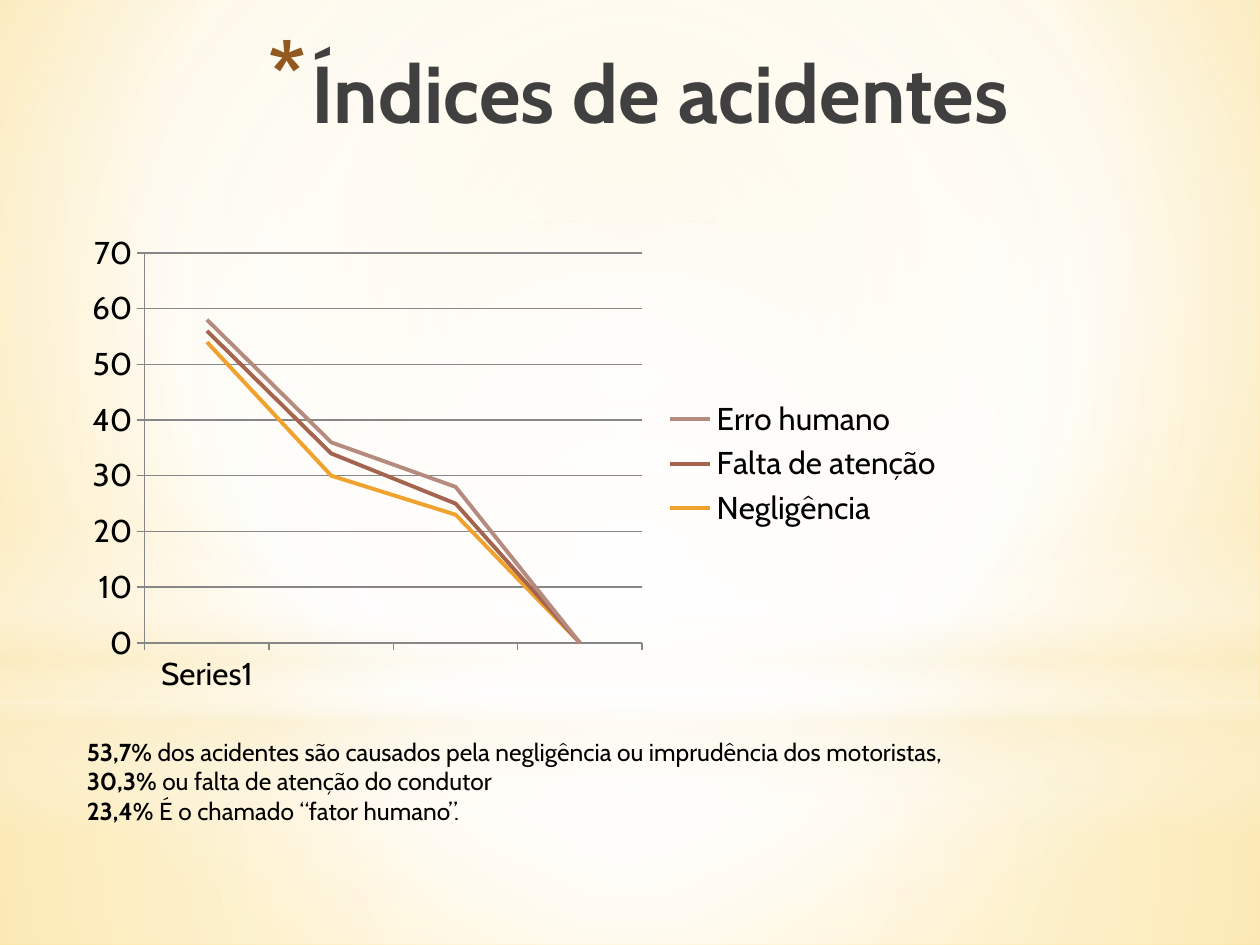
from lxml import etree
from pptx import Presentation
from pptx.chart.data import CategoryChartData
from pptx.dml.color import RGBColor
from pptx.enum.chart import XL_CHART_TYPE, XL_LEGEND_POSITION, XL_MARKER_STYLE, XL_TICK_MARK
from pptx.enum.shapes import MSO_SHAPE
from pptx.enum.text import MSO_ANCHOR, MSO_AUTO_SIZE, PP_ALIGN
from pptx.oxml.ns import qn
from pptx.util import Inches, Pt

FONT = "Cabin"
BLACK = RGBColor(0x00, 0x00, 0x00)
CHARCOAL = RGBColor(0x40, 0x40, 0x40)
BROWN = RGBColor(0x91, 0x58, 0x1F)
GRID = RGBColor(0x87, 0x87, 0x87)
ORANGE = RGBColor(0xF0, 0xA2, 0x2E)
RUST = RGBColor(0xA5, 0x64, 0x4E)
ROSE = RGBColor(0xB5, 0x8B, 0x80)
WHITE = RGBColor(0xFF, 0xFF, 0xFF)
CREAM = RGBColor(0xFB, 0xEE, 0xC9)
PALE_GOLD = RGBColor(0xFE, 0xEA, 0xB3)
GOLD = RGBColor(0xFF, 0xD9, 0x6C)

CENTRE = (50, 50, 50, 50)
HAZE = [
    (MSO_SHAPE.RECTANGLE, (0, 5.58, 10, 1.92),
     [(0, WHITE, 91), (37, WHITE, 76), (100, CREAM, 79)], CENTRE),
    (MSO_SHAPE.RECTANGLE, (0, 0, 10, 5.58),
     [(0, WHITE, 89), (48, WHITE, 62), (100, CREAM, 79)], CENTRE),
    (MSO_SHAPE.RECTANGLE, (0, 4.12, 10, 2.5),
     [(0, WHITE, 0), (29, WHITE, 30), (45, CREAM, 40), (55, WHITE, 26),
      (65, CREAM, 60), (100, WHITE, 0)], None),
    (MSO_SHAPE.OVAL, (0, 1.75, 10, 5.58),
     [(0, WHITE, 100), (56, WHITE, 0)], CENTRE),
]
SERIES = [
    ("Negligência", (54, 30, 23, None), ORANGE),
    ("Falta de atenção", (2, 4, 2, None), RUST),
    ("Erro humano", (2, 2, 3, None), ROSE),
]
FINDINGS = [
    ("53,7%", " dos acidentes são causados pela negligência ou imprudência dos motoristas,"),
    ("30,3% ", "ou falta de atenção do condutor"),
    ("23,4% ", "É o chamado “fator humano”."),
]


def add_child(parent, tag, **attributes):
    child = etree.SubElement(parent, qn(tag))
    for name, value in attributes.items():
        child.set(name, str(value))
    return child


def set_gradient(fill, owner, stops, focus):
    fill.solid()
    solid = owner.find(".//" + qn("a:solidFill"))
    gradient = solid.makeelement(qn("a:gradFill"), {"rotWithShape": "1"})
    solid.getparent().replace(solid, gradient)
    stop_list = add_child(gradient, "a:gsLst")
    for position, color, opacity in stops:
        stop = add_child(stop_list, "a:gs", pos=position * 1000)
        tint = add_child(stop, "a:srgbClr", val=color)
        if opacity < 100:
            add_child(tint, "a:alpha", val=opacity * 1000)
    if focus:
        circle = add_child(gradient, "a:path", path="circle")
        add_child(circle, "a:fillToRect",
                  **{side: share * 1000 for side, share in zip("ltrb", focus)})
    else:
        add_child(gradient, "a:lin", ang=90 * 60000, scaled=0)


def write(paragraph, text, size=14, color=BLACK, bold=False):
    run = paragraph.add_run()
    run.text = text
    run.font.name = FONT
    run.font.size = Pt(size)
    run.font.bold = bold
    run.font.color.rgb = color


def draw_backdrop(slide):
    background = slide.background
    set_gradient(background.fill, slide.element,
                 [(0, PALE_GOLD, 100), (60, WHITE, 100), (100, GOLD, 100)],
                 (20, 10, 20, 60))
    for outline, box, stops, focus in HAZE:
        veil = slide.shapes.add_shape(outline, *map(Inches, box))
        veil.shadow.inherit = False
        veil.line.fill.background()
        set_gradient(veil.fill, veil.element.spPr, stops, focus)


def place_title(slide, left, top, width, height):
    title = slide.shapes.title
    title.left, title.top, title.width, title.height = map(Inches, (left, top, width, height))
    slide.shapes.element.append(title.element)
    frame = title.text_frame
    frame.auto_size = MSO_AUTO_SIZE.NONE
    frame.vertical_anchor = MSO_ANCHOR.TOP
    heading = frame.paragraphs[0]
    heading.alignment = PP_ALIGN.RIGHT
    write(heading, "Índices de acidentes", size=46, color=CHARCOAL, bold=True)
    properties = heading._p.get_or_add_pPr()
    properties.set("marL", str(Inches(0.35)))
    properties.set("indent", str(Inches(-0.35)))
    add_child(add_child(properties, "a:buClr"), "a:srgbClr", val=BROWN)
    add_child(properties, "a:buSzPct", val=128000)
    add_child(properties, "a:buFontTx")
    add_child(properties, "a:buChar", char="*")


def place_chart(slide, left, top, width, height):
    accidents = CategoryChartData()
    accidents.categories = ["Series1", "", "", ""]
    for name, values, _ in SERIES:
        accidents.add_series(name, values)
    chart = slide.shapes.add_chart(
        XL_CHART_TYPE.LINE_STACKED, *map(Inches, (left, top, width, height)), accidents).chart
    chart.has_title = False
    chart.font.name = FONT
    chart.font.size = Pt(18)
    chart.font.color.rgb = BLACK
    chart.has_legend = True
    chart.legend.position = XL_LEGEND_POSITION.RIGHT
    chart.legend.include_in_layout = False
    chart.value_axis.has_major_gridlines = True
    chart.value_axis.major_gridlines.format.line.color.rgb = GRID
    for axis in (chart.category_axis, chart.value_axis):
        axis.major_tick_mark = XL_TICK_MARK.OUTSIDE
        axis.minor_tick_mark = XL_TICK_MARK.NONE
        axis.format.line.color.rgb = GRID
    for series, (_, _, color) in zip(chart.plots[0].series, SERIES):
        series.smooth = False
        series.marker.style = XL_MARKER_STYLE.NONE
        series.format.line.color.rgb = color
        series.format.line.width = Pt(2.25)
    chart.element.find(".//" + qn("c:dispBlanksAs")).set("val", "zero")


def place_findings(slide, left, top, width, height):
    findings = slide.shapes.add_textbox(*map(Inches, (left, top, width, height)))
    frame = findings.text_frame
    frame.word_wrap = False
    frame.auto_size = MSO_AUTO_SIZE.SHAPE_TO_FIT_TEXT
    for index, (share, cause) in enumerate(FINDINGS):
        line = frame.add_paragraph() if index else frame.paragraphs[0]
        write(line, share, bold=True)
        write(line, cause)


def main():
    deck = Presentation()
    deck.slide_width, deck.slide_height = Inches(10), Inches(7.5)
    slide = deck.slides.add_slide(deck.slide_layouts[5])
    draw_backdrop(slide)
    place_title(slide, 0.98, 0.29, 7.12, 1.25)
    place_chart(slide, 0.59, 1.78, 7, 3.8)
    place_findings(slide, 0.59, 5.8, 7.58, 0.81)
    deck.save("out.pptx")


if __name__ == "__main__":
    main()
